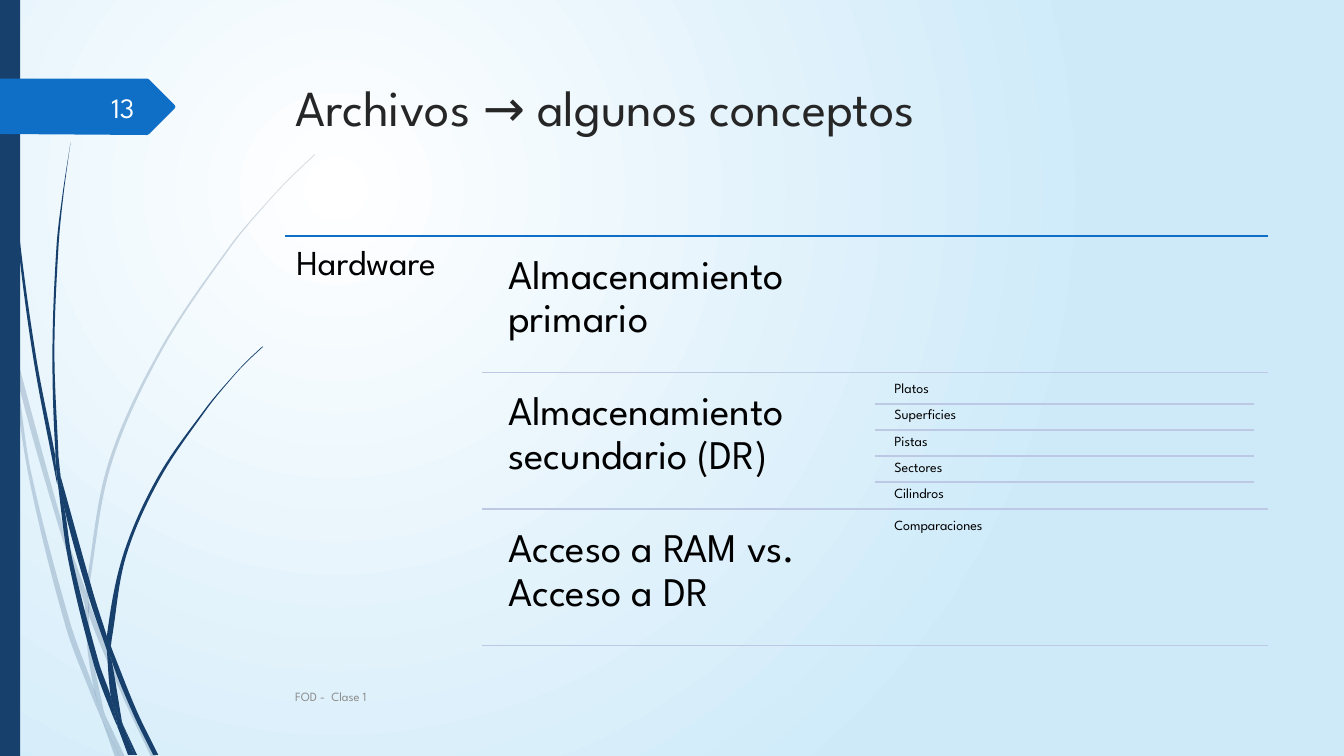
import dataclasses
import typing

import lxml.etree
import pptx
import pptx.dml.color
import pptx.enum.shapes
import pptx.enum.text
import pptx.oxml.ns
import pptx.util
import math

Inches = pptx.util.Inches
Anchor = pptx.enum.text.MSO_ANCHOR
Align = pptx.enum.text.PP_ALIGN
qn = pptx.oxml.ns.qn
Point = typing.Tuple[float, float]
Points = typing.List[Point]


@dataclasses.dataclass(frozen=True)
class Theme:
    font: str = "League Spartan"
    navy: str = "17406D"
    blue: str = "0F6FC6"
    rule: str = "BDC8E5"
    sky: str = "CEEAF9"
    white: str = "FFFFFF"
    number: str = "FEFFFF"
    heading: str = "262626"
    ink: str = "000000"
    footer: str = "8C8C8C"
    title_size: int = 36
    topic_size: int = 29
    subject_size: int = 25
    number_size: int = 20
    detail_size: int = 10
    footer_size: int = 9
    rule_width: float = 1.25
    pale_opacity: int = 20


@dataclasses.dataclass(frozen=True)
class Blade:
    """A piece of grass: one curved edge down, the other curved edge back up."""
    down: Points
    up: Points


@dataclasses.dataclass(frozen=True)
class Label:
    text: str
    left: float
    top: float
    width: float
    height: float
    size: int
    color: str
    inset: typing.Tuple[float, float] = (0.1, 0.05)
    spacing: float = 1.0
    anchor: typing.Any = Anchor.TOP
    align: typing.Any = Align.LEFT


@dataclasses.dataclass(frozen=True)
class Topic:
    text: str
    details: typing.Tuple[str, ...] = ()


THEME = Theme()

PALE_BLADES = [
    Blade([(0, 2.82), (0, 2.99), (0.1, 3.44), (0.11, 3.5)], [(0.09, 3.22), (0, 2.82)]),
    Blade([(0.14, 3.45), (0.17, 3.76), (0.58, 5.22), (0.84, 5.99)],
          [(0.85, 5.86), (0.62, 5.2), (0.14, 3.45)]),
    Blade([(0.88, 5.96), (0.88, 6.1), (1.23, 6.94), (1.5, 7.51)],
          [(1.55, 7.51), (1.27, 6.92), (0.92, 6.07), (0.88, 5.96)]),
    Blade([(1.05, 7.11), (1.19, 7.51)], [(1.24, 7.51), (1.05, 7.11)]),
    Blade([(0.11, 3.5), (0.28, 4.7), (0.65, 6.21), (0.92, 6.93), (1.01, 7.14)],
          [(0.99, 7.07), (0.93, 6.83), (0.7, 6.19), (0.31, 4.69), (0.17, 3.76), (0.11, 3.5)]),
    Blade([(0.84, 5.99), (0.87, 6.46), (0.93, 6.83), (0.96, 6.92), (1.05, 7.11)],
          [(1.03, 7.06), (0.91, 6.46), (0.88, 6.1), (0.88, 6.08), (0.84, 5.99)]),
    Blade([(3.12, 1.53), (2.89, 1.75), (2.68, 1.97), (2.28, 2.44), (1.58, 3.48), (1.07, 4.61),
           (0.85, 5.84), (0.85, 5.86), (0.88, 5.96)],
          [(0.88, 5.84), (1.1, 4.62), (1.6, 3.49), (2.29, 2.45), (2.68, 1.98), (2.9, 1.75),
           (3.12, 1.54)]),
    Blade([(1.01, 7.14), (1.14, 7.51)], [(1.19, 7.51), (1.01, 7.14)]),
    Blade([(0.85, 5.86), (0.84, 5.99)], [(0.88, 6.08), (0.88, 6.1), (0.88, 5.96), (0.85, 5.86)]),
    Blade([(0.93, 6.83), (0.99, 7.07), (1.01, 7.14), (1.19, 7.51)],
          [(1.05, 7.11), (0.96, 6.92), (0.93, 6.83)]),
]

DARK_BLADES = [
    Blade([(0.03, 0), (0.04, 0.48), (0.07, 1.1), (0.17, 2.33), (0.33, 3.55), (0.56, 4.77),
           (0.57, 4.81)],
          [(0.55, 4.57), (0.55, 4.53), (0.36, 3.55), (0.19, 2.32), (0.08, 1.09),
           (0.05, 0.48), (0.04, 0)]),
    Blade([(0.6, 4.72), (0.64, 5.05), (0.88, 5.92), (1.06, 6.45)],
          [(1.06, 6.33), (1.06, 6.31), (0.93, 5.9), (0.6, 4.72)]),
    Blade([(1.1, 6.41), (1.11, 6.56), (1.32, 7.08), (1.52, 7.49)],
          [(1.57, 7.49), (1.36, 7.06), (1.13, 6.49), (1.1, 6.41)]),
    Blade([(0.57, 4.77), (0.68, 5.57), (0.93, 6.59), (1.11, 7.08), (1.17, 7.22)],
          [(1.16, 7.17), (1.1, 6.91), (0.98, 6.57), (0.72, 5.56), (0.64, 5.05), (0.57, 4.77)]),
    Blade([(0.7, 1.41), (0.62, 1.93), (0.56, 2.45), (0.52, 3.49), (0.55, 4.49), (0.6, 4.72)],
          [(0.58, 4.53), (0.54, 3.49), (0.58, 2.45), (0.63, 1.93), (0.7, 1.41)]),
    Blade([(1.22, 7.19), (1.33, 7.49)], [(1.36, 7.49), (1.22, 7.19)]),
    Blade([(0.55, 4.49), (0.55, 4.53), (0.57, 4.77), (0.64, 5.05)], [(0.6, 4.72), (0.55, 4.49)]),
    Blade([(2.6, 3.44), (2.45, 3.58), (2.31, 3.73), (2.04, 4.05), (1.56, 4.74), (1.22, 5.51),
           (1.06, 6.31), (1.1, 6.41)],
          [(1.11, 6.33), (1.25, 5.52), (1.58, 4.76), (2.05, 4.06), (2.31, 3.74), (2.45, 3.59),
           (2.61, 3.44)]),
    Blade([(1.17, 7.22), (1.27, 7.49)], [(1.31, 7.49), (1.17, 7.22)]),
    Blade([(1.06, 6.45), (1.1, 6.91), (1.16, 7.06), (1.22, 7.19)],
          [(1.21, 7.16), (1.11, 6.56), (1.09, 6.51), (1.06, 6.45)]),
    Blade([(1.06, 6.31), (1.06, 6.45), (1.09, 6.51), (1.11, 6.56)], [(1.1, 6.41), (1.06, 6.31)]),
    Blade([(1.1, 6.91), (1.16, 7.17), (1.17, 7.22), (1.3, 7.49)],
          [(1.33, 7.49), (1.22, 7.19), (1.16, 7.06), (1.1, 6.91)]),
]

TOPICS = [
    Topic("Almacenamiento primario"),
    Topic("Almacenamiento secundario (DR)",
          ("Platos", "Superficies", "Pistas", "Sectores", "Cilindros")),
    Topic("Acceso a RAM vs. Acceso a DR", ("Comparaciones",)),
]


def rgb(color: str) -> pptx.dml.color.RGBColor:
    return pptx.dml.color.RGBColor.from_string(color)


def handles(points: Points) -> typing.List[Points]:
    """Two Bezier handles for each step of an edge, paced by chord length."""
    slopes = []
    for i in range(len(points)):
        near = points[max(i - 1, 0):i + 2]
        reach = sum(math.dist(a, b) for a, b in zip(near, near[1:]))
        slopes.append([(b - a) / reach / 3 for a, b in zip(near[0], near[-1])])
    pairs = []
    for a, b, start, end in zip(points, points[1:], slopes, slopes[1:]):
        span = math.dist(a, b)
        pairs.append([(a[0] + start[0] * span, a[1] + start[1] * span),
                      (b[0] - end[0] * span, b[1] - end[1] * span)])
    return pairs


def paint(shape: typing.Any, color: str, opacity: int = 100) -> None:
    shape.shadow.inherit = False
    shape.fill.solid()
    shape.fill.fore_color.rgb = rgb(color)
    shape.line.fill.background()
    if opacity < 100:
        tone = shape._element.spPr.find(qn("a:solidFill"))[0]
        lxml.etree.SubElement(tone, qn("a:alpha")).set("val", str(opacity * 1000))


def draw_outline(page: typing.Any, points: Points, color: str, opacity: int = 100) -> typing.Any:
    corners = [(Inches(x), Inches(y)) for x, y in points]
    builder = page.shapes.build_freeform(*corners[0])
    builder.add_line_segments(corners[1:], close=True)
    shape = builder.convert_to_shape()
    paint(shape, color, opacity)
    return shape


def draw_blade(page: typing.Any, blade: Blade, opacity: int) -> None:
    shape = draw_outline(page, blade.down + blade.up, THEME.navy, opacity)
    steps = list(shape._element.iter(qn("a:lnTo")))
    bends = handles(blade.down) + [[]] + handles(blade.up)
    for step, pair in zip(steps, bends):
        if pair:
            step.tag = qn("a:cubicBezTo")
        for place, (x, y) in enumerate(pair):
            handle = lxml.etree.Element(qn("a:pt"))
            handle.set("x", str(Inches(x) - shape.left))
            handle.set("y", str(Inches(y) - shape.top))
            step.insert(place, handle)


def draw_rule(page: typing.Any, left: float, right: float, y: float, color: str) -> None:
    line = page.shapes.add_connector(pptx.enum.shapes.MSO_CONNECTOR.STRAIGHT,
                                     Inches(left), Inches(y), Inches(right), Inches(y))
    line.line.color.rgb = rgb(color)
    line.line.width = pptx.util.Pt(THEME.rule_width)
    lxml.etree.SubElement(line._element.spPr, qn("a:effectLst"))


def write_label(box: typing.Any, label: Label) -> None:
    box.left, box.top = Inches(label.left), Inches(label.top)
    box.width, box.height = Inches(label.width), Inches(label.height)
    frame = box.text_frame
    frame.word_wrap = True
    frame.vertical_anchor = label.anchor
    frame.margin_left = frame.margin_right = Inches(label.inset[0])
    frame.margin_top = frame.margin_bottom = Inches(label.inset[1])
    para = frame.paragraphs[0]
    para.alignment, para.line_spacing = label.align, label.spacing
    span = para.add_run()
    span.text = label.text
    span.font.name, span.font.size = THEME.font, pptx.util.Pt(label.size)
    span.font.color.rgb = rgb(label.color)


def draw_label(page: typing.Any, *parts: typing.Any, **options: typing.Any) -> None:
    write_label(page.shapes.add_textbox(0, 0, 0, 0), Label(*parts, **options))


def draw_background(page: typing.Any) -> None:
    fill = page.background.fill
    fill.gradient()
    for stop, color in zip(fill.gradient_stops, (THEME.white, THEME.sky)):
        stop.color.rgb = rgb(color)
    gradient = page._element.find(".//" + qn("a:gradFill"))
    gradient.remove(gradient.find(qn("a:lin")))
    glow = lxml.etree.SubElement(gradient, qn("a:path"))
    glow.set("path", "circle")
    focus = lxml.etree.SubElement(glow, qn("a:fillToRect"))
    for side, share in zip("ltrb", (50, 50, 100, 100)):
        focus.set(side, str(share * 1000))


def draw_topics(page: typing.Any) -> None:
    top, row, gap, step = 2.34, 1.355, 0.06, 0.26
    draw_rule(page, 2.83, 12.58, top, THEME.blue)
    draw_label(page, "Hardware", 2.84, 2.33, 1.95, 4.13, THEME.subject_size, THEME.ink,
               (0.1, 0.1), 0.9)
    for index, topic in enumerate(TOPICS):
        y = top + index * row
        draw_label(page, topic.text, 4.92, y + gap, 3.75, 1.29, THEME.topic_size, THEME.ink,
                   (0.12, 0.12), 0.9)
        height = step if len(topic.details) > 1 else 1.29
        for place, detail in enumerate(topic.details):
            detail_top = y + 0.05 + place * step
            if place:
                draw_rule(page, 8.68, 12.44, detail_top, THEME.rule)
            draw_label(page, detail, 8.83, detail_top, 3.75, height, THEME.detail_size,
                       THEME.ink, (0.04, 0.04), 0.9)
        draw_rule(page, 4.78, 12.58, y + row, THEME.rule)


def main() -> None:
    deck = pptx.Presentation()
    deck.slide_width, deck.slide_height = Inches(13.33), Inches(7.5)
    page = deck.slides.add_slide(deck.slide_layouts[5])

    # Backdrop: glow, grass, side bar and number tag
    draw_background(page)
    for blades, opacity in ((PALE_BLADES, THEME.pale_opacity), (DARK_BLADES, 100)):
        for blade in blades:
            draw_blade(page, blade, opacity)
    paint(page.shapes.add_shape(pptx.enum.shapes.MSO_SHAPE.RECTANGLE,
                                0, 0, Inches(0.2), Inches(7.5)), THEME.navy)
    draw_outline(page, [(0, 0.78), (1.46, 0.78), (1.48, 0.79), (1.73, 1.04), (1.74, 1.06),
                        (1.73, 1.08), (1.48, 1.33), (1.46, 1.34), (0, 1.33)], THEME.blue)

    # Title and topics
    write_label(page.shapes.title, Label("Archivos → algunos conceptos", 2.83, 0.7, 9.75, 1.4,
                                         THEME.title_size, THEME.heading))
    draw_topics(page)

    # Footer and page number
    draw_label(page, "FOD -  Clase 1", 2.83, 6.71, 8.33, 0.4, THEME.footer_size, THEME.footer,
               anchor=Anchor.MIDDLE)
    draw_label(page, "13", 0.58, 0.86, 0.85, 0.4, THEME.number_size, THEME.number,
               anchor=Anchor.MIDDLE, align=Align.RIGHT)
    deck.save("out.pptx")


if __name__ == "__main__":
    main()
